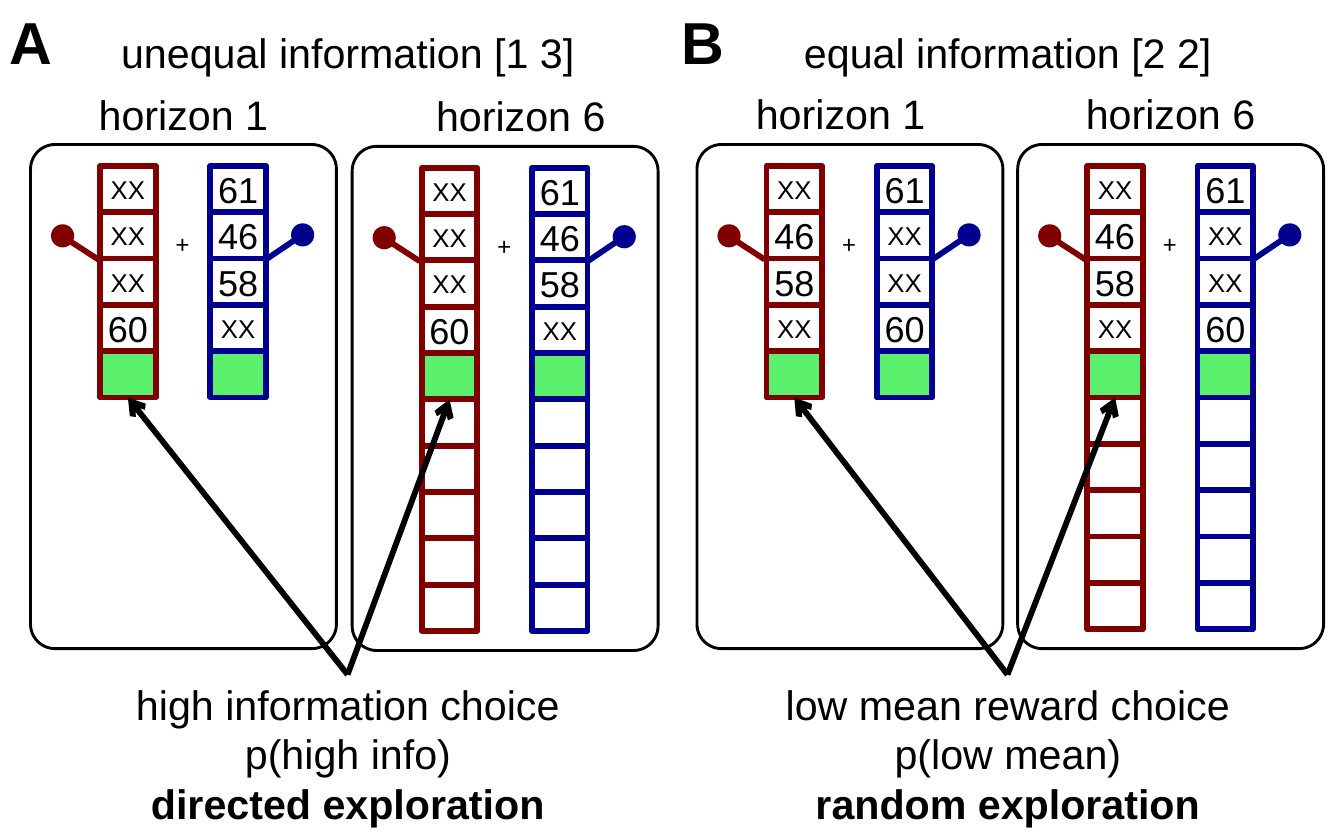
"""Build the slide on unequal and equal information in the horizon task."""
from dataclasses import dataclass
from typing import Any

from lxml import etree
from pptx import Presentation
from pptx.dml.color import RGBColor
from pptx.enum.shapes import MSO_CONNECTOR, MSO_SHAPE
from pptx.enum.text import MSO_ANCHOR, MSO_AUTO_SIZE, PP_ALIGN
from pptx.oxml.ns import qn
from pptx.util import Inches, Pt

RECT, ROUND, OVAL = MSO_SHAPE.RECTANGLE, MSO_SHAPE.ROUNDED_RECTANGLE, MSO_SHAPE.OVAL
LINE = MSO_CONNECTOR.STRAIGHT
LEFT, MID = PP_ALIGN.LEFT, PP_ALIGN.CENTER
BLACK = RGBColor(0, 0, 0)
RED = RGBColor(0x80, 0, 0)
BLUE = RGBColor(0, 0, 0x90)
GREEN = RGBColor(0x5B, 0xF0, 0x6C)
THICK, THIN = 4.5, 2.25
CELL_W, CELL_H, SHOWN = 0.6, 0.5, 4
BOX = {"word_wrap": True, "auto_size": MSO_AUTO_SIZE.SHAPE_TO_FIT_TEXT}
CELL = {"word_wrap": False, "vertical_anchor": MSO_ANCHOR.MIDDLE}


@dataclass(frozen=True)
class Arm:
    color: RGBColor
    left: float
    root: tuple[float, float]
    tip: tuple[float, float]
    ball: tuple[float, float]


@dataclass(frozen=True)
class Panel:
    left: float
    top: float
    rows: int
    title: tuple[float, float, str]


@dataclass(frozen=True)
class Half:
    mark: str
    edge: float
    left: float
    head: str
    foot: tuple[str, ...]
    start: float
    cells: tuple[str, str]
    panels: tuple[Panel, Panel]


ARMS = (
    Arm(RED, 0.75, (0.73, 1.24), (0.36, 1), (0.22, 0.86)),
    Arm(BLUE, 1.94, (2.54, 1.24), (2.91, 0.99), (2.81, 0.85)),
)
HALVES = (
    Half("A", 0, 0.3, "unequal information [1 3]",
         ("high information choice", "p(high info)", "directed exploration"),
         3.75, ("XX XX XX 60", "61 46 58 XX"),
         (Panel(0.33, 1.56, 5, (0.33, 0.92, "horizon 1")),
          Panel(3.8, 1.58, 10, (3.97, 0.93, "horizon 6")))),
    Half("B", 7.25, 7.42, "equal information [2 2]",
         ("low mean reward choice", "p(low mean)", "random exploration"),
         10.87, ("XX 46 58 XX", "61 XX XX 60"),
         (Panel(7.52, 1.56, 5, (7.42, 0.9, "horizon 1")),
          Panel(10.98, 1.56, 10, (10.98, 0.9, "horizon 6")))),
)


def apply(obj: Any, form: dict[str, Any]) -> None:
    """Set each attribute named in the form."""
    for key, value in form.items():
        setattr(obj, key, value)


def write(frame: Any, lines: tuple[str, ...], size: float, face: str = "Arial",
          align: Any = MID, bold: bool = False) -> None:
    """Fill a text frame, with the last of several lines in bold."""
    for i, words in enumerate(lines):
        para = frame.add_paragraph() if i else frame.paragraphs[0]
        para.alignment = align
        run = para.add_run()
        run.text = words
        apply(run.font, {"size": Pt(size), "name": face, "bold": bold or i == 2})
        run.font.color.rgb = BLACK


def label(shapes: Any, at: tuple[float, float, float, float],
          lines: tuple[str, ...], size: float, **style: Any) -> None:
    """Add a wrapped text box."""
    frame = shapes.add_textbox(*map(Inches, at)).text_frame
    apply(frame, BOX)
    write(frame, lines, size, **style)


def block(shapes: Any, kind: Any, at: tuple[float, float, float, float],
          fill: RGBColor | None = None, edge: RGBColor | None = None,
          width: float = THICK) -> Any:
    """Add a preset shape with an optional fill and outline."""
    shape = shapes.add_shape(kind, *map(Inches, at))
    shape.shadow.inherit = False
    for form, color in ((shape.fill, fill), (shape.line.fill, edge)):
        if color is None:
            form.background()
        else:
            form.solid()
            form.fore_color.rgb = color
    if edge is not None:
        shape.line.width = Pt(width)
    return shape


def stroke(shapes: Any, start: tuple[float, float], end: tuple[float, float],
           color: RGBColor, arrow: bool = False) -> None:
    """Add a thick line, with an arrowhead at its end if asked."""
    line = shapes.add_connector(LINE, *map(Inches, (*start, *end)))
    line.line.color.rgb = color
    line.line.width = Pt(THICK)
    props = line._element.spPr
    if arrow:
        etree.SubElement(props.find(qn("a:ln")), qn("a:tailEnd"), type="arrow")
    etree.SubElement(props, qn("a:effectLst"))


def stack(shapes: Any, left: float, top: float, rows: int,
          color: RGBColor, values: list[str]) -> None:
    """Draw a column of cells: past values, the green choice, then free ones."""
    for i in range(rows):
        cell = block(shapes, RECT, (left, top + i * CELL_H, CELL_W, CELL_H),
                     GREEN if i == SHOWN else None, color)
        if i < SHOWN:
            apply(cell.text_frame, CELL)
            write(cell.text_frame, (values[i],), 20 if values[i] == "XX" else 28)


def bandit(shapes: Any, panel: Panel, cells: tuple[str, str]) -> None:
    """Draw one framed pair of arms."""
    x, y = panel.left, panel.top
    label(shapes, (x + 1.44, y + 0.85, 0.4, 0.44), ("+",), 20, face="Calibri")
    frame = block(shapes, ROUND, (x, y, 3.3, 5.44), edge=BLACK, width=THIN)
    frame.adjustments[0] = 0.08
    for arm, values in zip(ARMS, cells):
        root, tip, ball = ((x + dx, y + dy) for dx, dy in (arm.root, arm.tip, arm.ball))
        stroke(shapes, root, tip, arm.color)
        block(shapes, OVAL, (*ball, 0.25, 0.25), arm.color)
        stack(shapes, x + arm.left, y + 0.23, panel.rows, arm.color, values.split())
    left, top, words = panel.title
    label(shapes, (left, top, 3.3, 0.64), (words,), 32)


def draw(shapes: Any, half: Half) -> None:
    """Draw one half of the slide."""
    for panel in half.panels:
        bandit(shapes, panel, half.cells)
    label(shapes, (half.left, 0.25, 6.91, 0.64), (half.head,), 32)
    label(shapes, (half.left, 7.28, 6.91, 1.72), half.foot, 32)
    for panel in half.panels:
        stroke(shapes, (half.start, 7.28), (panel.left + 1.05, panel.top + 2.73),
               BLACK, arrow=True)
    label(shapes, (half.edge, 0.01, 1.38, 0.88), (half.mark,), 46,
          align=LEFT, bold=True)


def main() -> None:
    """Build and save the deck."""
    deck = Presentation()
    apply(deck, {"slide_width": Inches(14.5), "slide_height": Inches(9)})
    slide = deck.slides.add_slide(deck.slide_layouts[6])
    for half in HALVES:
        draw(slide.shapes, half)
    deck.save("out.pptx")


if __name__ == "__main__":
    main()
